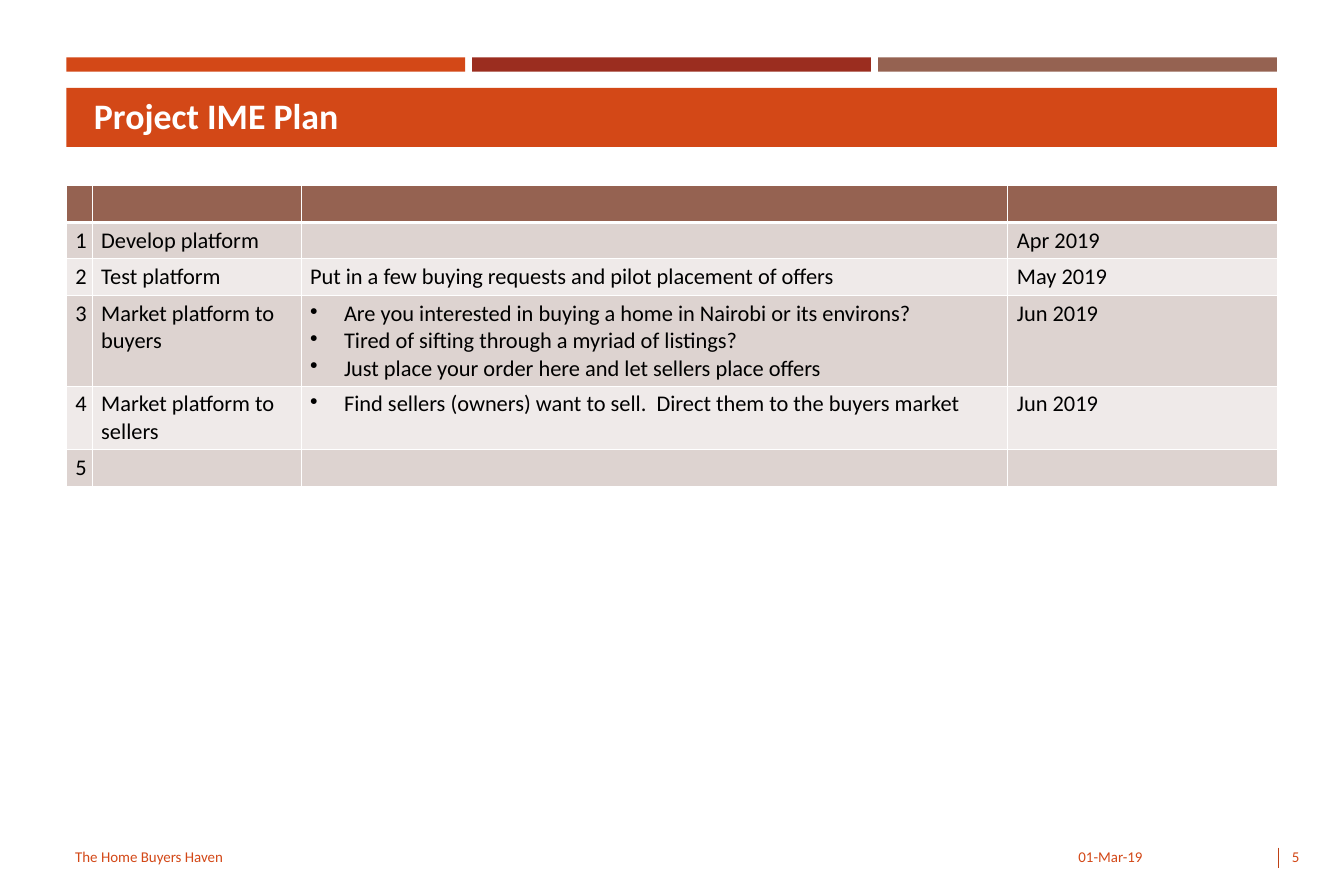
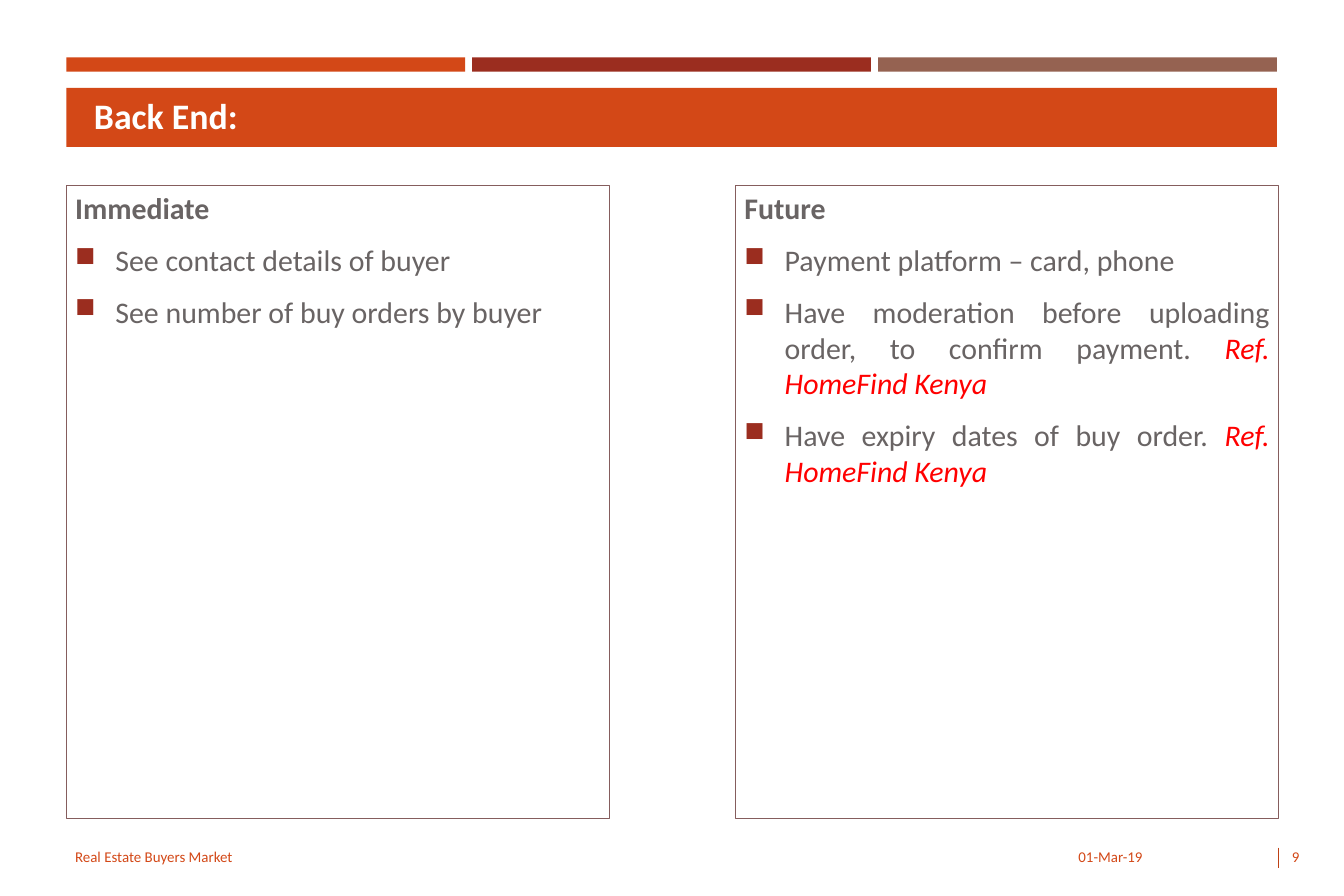
from lxml.etree import SubElement
from pptx import Presentation
from pptx.dml.color import RGBColor
from pptx.enum.shapes import MSO_CONNECTOR, MSO_SHAPE
from pptx.enum.text import MSO_ANCHOR, PP_ALIGN
from pptx.oxml.ns import qn
from pptx.util import Inches, Pt

FONT = "Calibri"
ORANGE = RGBColor(0xD3, 0x48, 0x17)
RULE = RGBColor(0xBE, 0x41, 0x15)
DARK_RED = RGBColor(0x9B, 0x2D, 0x1F)
BROWN = RGBColor(0x95, 0x62, 0x51)
OUTLINE = RGBColor(0x85, 0x5D, 0x5D)
ROW_DARK = RGBColor(0xDD, 0xD3, 0xD0)
ROW_LIGHT = RGBColor(0xEF, 0xEA, 0xE9)
GREY = RGBColor(0x69, 0x64, 0x64)
RED = RGBColor(0xFF, 0, 0)
WHITE = RGBColor(0xFF, 0xFF, 0xFF)
BLACK = RGBColor(0, 0, 0)

LEFT, WIDTH = 0.74, 13.51
BAND_GAP = 0.08
CONTENT_TOP = 2.07
DATE = "01-Mar-19"

# Content: a list in a cell is bulleted
PLAN = [
    ["", "", "", ""],
    ["1", "Develop platform", "", "Apr 2019"],
    ["2", "Test platform",
     "Put in a few buying requests and pilot placement of offers", "May 2019"],
    ["3", "Market platform to buyers",
     ["Are you interested in buying a home in Nairobi or its environs?",
      "Tired of sifting through a myriad of listings?",
      "Just place your order here and let sellers place offers"], "Jun 2019"],
    ["4", "Market platform to sellers",
     ["Find sellers (owners) want to sell.  Direct them to the buyers market"],
     "Jun 2019"],
    ["5", "", "", ""],
]
COL_WIDTHS = [0.29, 2.33, 7.89, 3.01]
ROW_HEIGHTS = [0.41, 0.41, 0.41, 1.01, 0.71, 0.41]

# Each panel: left, heading, items as (text, reference)
REFERENCE = "Ref. HomeFind Kenya"
PANELS = [
    (0.74, "Immediate", [("See contact details of buyer", ""),
                         ("See number of buy orders by buyer", "")]),
    (8.21, "Future", [
        ("Payment platform – card, phone", ""),
        ("Have moderation before uploading order, to confirm payment. ", REFERENCE),
        ("Have expiry dates of buy order. ", REFERENCE)]),
]


def add_run(p, text, size, color, bold=False, italic=False):
    r = p.add_run()
    r.text = text
    r.font.name, r.font.size = FONT, Pt(size)
    r.font.bold, r.font.italic = bold, italic
    r.font.color.rgb = color


def set_bullet(p, char, indent, color=None, percent=None):
    pPr = p._p.get_or_add_pPr()
    pPr.set("marL", str(Inches(indent)))
    pPr.set("indent", str(-Inches(indent)))
    if color is not None:
        SubElement(SubElement(pPr, qn("a:buClr")), qn("a:srgbClr"), val=str(color))
    if percent:
        SubElement(pPr, qn("a:buSzPct"), val=str(percent * 1000))
    SubElement(pPr, qn("a:buChar"), char=char)


def add_rect(s, x, y, w, h, fill=None, line=None):
    sp = s.shapes.add_shape(MSO_SHAPE.RECTANGLE, Inches(x), Inches(y), Inches(w), Inches(h))
    sp.shadow.inherit = False
    if fill is None:
        sp.fill.background()
    else:
        sp.fill.solid()
        sp.fill.fore_color.rgb = fill
    if line is None:
        sp.line.fill.background()
    else:
        sp.line.color.rgb = line
        sp.line.width = Pt(0.75)
    return sp


def add_text(s, box, text, size, color, align=PP_ALIGN.LEFT,
             anchor=MSO_ANCHOR.MIDDLE, bold=False):
    tf = s.shapes.add_textbox(*[Inches(v) for v in box]).text_frame
    tf.word_wrap = True
    tf.vertical_anchor = anchor
    p = tf.paragraphs[0]
    p.alignment = align
    add_run(p, text, size, color, bold)


def add_base_slide(prs, title, footer, number):
    s = prs.slides.add_slide(prs.slide_layouts[6])
    # Top bands and title bar
    band_w = (WIDTH - 2 * BAND_GAP) / 3
    for i, color in enumerate([ORANGE, DARK_RED, BROWN]):
        add_rect(s, LEFT + i * (band_w + BAND_GAP), 0.64, band_w, 0.16, color)
    add_rect(s, LEFT, 0.98, WIDTH, 0.66, ORANGE)
    add_text(s, (0.95, 1.04, 13.11, 0.54), title, 28.8, WHITE,
             anchor=MSO_ANCHOR.BOTTOM, bold=True)
    # Footer
    rule = s.shapes.add_connector(MSO_CONNECTOR.STRAIGHT, Inches(14.27), Inches(9.46),
                                  Inches(14.27), Inches(9.69))
    rule.line.color.rgb = RULE
    rule.line.width = Pt(1)
    SubElement(rule._element.spPr, qn("a:effectLst"))
    add_text(s, (LEFT, 9.3, 8.32, 0.53), footer, 12, ORANGE)
    add_text(s, (9.12, 9.3, 3.73, 0.53), DATE, 12, ORANGE, PP_ALIGN.RIGHT)
    add_text(s, (13.34, 9.3, 1.26, 0.53), number, 12, ORANGE, PP_ALIGN.RIGHT)
    return s


def set_borders(cell, top, bottom):
    tcPr = cell._tc.get_or_add_tcPr()
    for side, width in (("L", 1), ("R", 1), ("T", top), ("B", bottom)):
        ln = SubElement(tcPr, qn("a:ln" + side), w=str(Pt(width)))
        SubElement(SubElement(ln, qn("a:solidFill")), qn("a:srgbClr"), val=str(WHITE))


def add_plan_table(s):
    table = s.shapes.add_table(len(PLAN), len(COL_WIDTHS), Inches(LEFT), Inches(CONTENT_TOP),
                               Inches(sum(COL_WIDTHS)), Inches(sum(ROW_HEIGHTS))).table
    table.first_row = table.horz_banding = False
    for col, width in zip(table.columns, COL_WIDTHS):
        col.width = Inches(width)
    for i, (row, height) in enumerate(zip(PLAN, ROW_HEIGHTS)):
        table.rows[i].height = Inches(height)
        for j, content in enumerate(row):
            cell = table.cell(i, j)
            set_borders(cell, 3 if i == 1 else 1, 3 if i == 0 else 1)
            cell.fill.solid()
            cell.fill.fore_color.rgb = BROWN if i == 0 else ROW_DARK if i % 2 else ROW_LIGHT
            bulleted = isinstance(content, list)
            tf = cell.text_frame
            for n, text in enumerate(content if bulleted else [content]):
                p = tf.add_paragraph() if n else tf.paragraphs[0]
                if bulleted:
                    set_bullet(p, "•", 0.38)
                if text:
                    add_run(p, text, 18, BLACK)


def add_panel(s, left, heading, items):
    tf = add_rect(s, left, CONTENT_TOP, 6.06, 7.06, line=OUTLINE).text_frame
    tf.word_wrap = True
    tf.vertical_anchor = MSO_ANCHOR.TOP
    add_run(tf.paragraphs[0], heading, 24, GREY, bold=True)
    for text, reference in items:
        p = tf.add_paragraph()
        set_bullet(p, "■", 0.45, DARK_RED, 92)
        add_run(p, text, 24, GREY)
        if reference:
            add_run(p, reference, 24, RED, italic=True)
    for p in tf.paragraphs:
        p.alignment = PP_ALIGN.JUSTIFY
        p.space_before, p.space_after = Pt(4.8), Pt(8)


def main():
    prs = Presentation()
    prs.slide_width, prs.slide_height = Inches(15), Inches(10)

    s = add_base_slide(prs, "Project IME Plan", "The Home Buyers Haven", "5")
    add_plan_table(s)

    s = add_base_slide(prs, "Back End:", "Real Estate Buyers Market", "9")
    for panel in PANELS:
        add_panel(s, *panel)

    prs.save("out.pptx")


if __name__ == "__main__":
    main()
